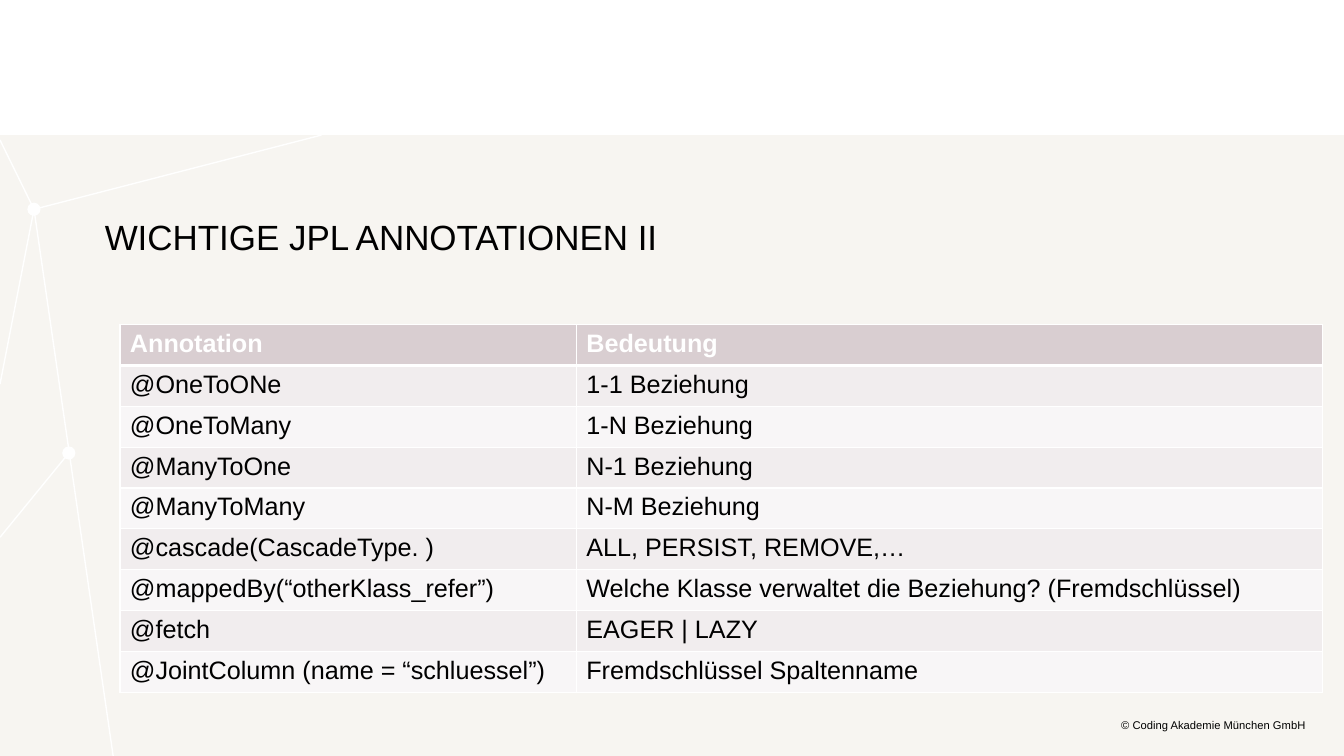
from dataclasses import dataclass

from lxml.etree import SubElement
from pptx import Presentation
from pptx.dml.color import RGBColor
from pptx.enum.shapes import MSO_CONNECTOR, MSO_SHAPE
from pptx.enum.text import MSO_ANCHOR, MSO_AUTO_SIZE, PP_ALIGN
from pptx.oxml.ns import qn
from pptx.util import Pt


@dataclass(frozen=True)
class Theme:
    font: str = "Arial"
    text: str = "000000"
    white: str = "FFFFFF"
    panel: str = "F7F5F1"
    header: str = "D9CED1"
    bands: tuple = ("F1EDEE", "F8F6F7")
    title_size: float = 25
    table_size: float = 18
    footer_size: float = 8
    line_width: float = 1
    header_rule: float = 3


THEME = Theme()
SLIDE_WIDTH, SLIDE_HEIGHT = 960.5, 540
PANEL_TOP = 96.5
NODE_SIZE = 9.4
UPPER_NODE = (24.3, 149.5)
LOWER_NODE = (49.2, 323.6)
NETWORK_LINES = [
    (UPPER_NODE, (80.9, SLIDE_HEIGHT)),
    (UPPER_NODE, (0, 100)),
    (UPPER_NODE, (229.7, PANEL_TOP)),
    (UPPER_NODE, (0, 274.4)),
    (LOWER_NODE, (0, 383.8)),
]
COLUMN_WIDTHS = (326.2, 533.5)
ROW_HEIGHT = 29.2
ANNOTATIONS = [
    ("Annotation", "Bedeutung"),
    ("@OneToONe", "1-1 Beziehung"),
    ("@OneToMany", "1-N Beziehung"),
    ("@ManyToOne", "N-1 Beziehung"),
    ("@ManyToMany", "N-M Beziehung"),
    ("@cascade(CascadeType. )", "ALL, PERSIST, REMOVE,…"),
    ("@mappedBy(“otherKlass_refer”)", "Welche Klasse verwaltet die Beziehung? (Fremdschlüssel)"),
    ("@fetch", "EAGER | LAZY"),
    ("@JointColumn (name = “schluessel”)", "Fremdschlüssel Spaltenname"),
]


def color(value):
    return RGBColor.from_string(value)


def format_runs(text_frame, size, text_color=THEME.text, bold=False):
    for paragraph in text_frame.paragraphs:
        for run in paragraph.runs:
            run.font.name = THEME.font
            run.font.size = Pt(size)
            run.font.bold = bold
            run.font.color.rgb = color(text_color)


def fill_frame(text_frame, text, size, anchor, alignment):
    """Put one line of text in a frame without insets."""
    text_frame.text = text
    text_frame.word_wrap = True
    text_frame.auto_size = MSO_AUTO_SIZE.NONE
    text_frame.vertical_anchor = anchor
    text_frame.margin_left = text_frame.margin_right = 0
    text_frame.margin_top = text_frame.margin_bottom = 0
    text_frame.paragraphs[0].alignment = alignment
    format_runs(text_frame, size)


def add_plain_shape(slide, kind, left, top, width, height, fill):
    shape = slide.shapes.add_shape(kind, Pt(left), Pt(top), Pt(width), Pt(height))
    shape.shadow.inherit = False
    shape.fill.solid()
    shape.fill.fore_color.rgb = color(fill)
    shape.line.fill.background()


def add_network_line(slide, start, end):
    line = slide.shapes.add_connector(MSO_CONNECTOR.STRAIGHT, *map(Pt, start + end))
    line.line.color.rgb = color(THEME.white)
    line.line.width = Pt(THEME.line_width)
    SubElement(line._element.spPr, qn("a:effectLst"))


def add_background(slide):
    add_plain_shape(slide, MSO_SHAPE.RECTANGLE, 0, PANEL_TOP, SLIDE_WIDTH,
                    SLIDE_HEIGHT - PANEL_TOP, THEME.panel)
    for x, y in (UPPER_NODE, LOWER_NODE):
        add_plain_shape(slide, MSO_SHAPE.OVAL, x - NODE_SIZE / 2, y - NODE_SIZE / 2,
                        NODE_SIZE, NODE_SIZE, THEME.white)
    for start, end in NETWORK_LINES:
        add_network_line(slide, start, end)


def set_title(slide, text):
    title = slide.shapes.title
    title.left, title.top, title.width, title.height = map(Pt, (74.9, 153.4, 807.8, 30.2))
    fill_frame(title.text_frame, text, THEME.title_size, MSO_ANCHOR.BOTTOM, PP_ALIGN.LEFT)


def add_footer(slide, text):
    footer = slide.shapes.add_textbox(*map(Pt, (650.2, 513.4, 283, 9.4)))
    fill_frame(footer.text_frame, text, THEME.footer_size, MSO_ANCHOR.MIDDLE, PP_ALIGN.RIGHT)
    footer.text_frame.paragraphs[0].line_spacing = 0.93


def set_borders(cell, top, bottom):
    """Draw white cell borders with the given top and bottom widths."""
    properties = cell._tc.get_or_add_tcPr()
    widths = {"L": THEME.line_width, "R": THEME.line_width, "T": top, "B": bottom}
    for side, width in widths.items():
        border = SubElement(properties, qn(f"a:ln{side}"), w=str(Pt(width)))
        SubElement(SubElement(border, qn("a:solidFill")), qn("a:srgbClr"), val=THEME.white)


def add_annotation_table(slide, rows):
    frame = slide.shapes.add_table(len(rows), len(COLUMN_WIDTHS), Pt(85.7), Pt(231.8),
                                   Pt(sum(COLUMN_WIDTHS)), Pt(ROW_HEIGHT * len(rows)))
    table = frame.table
    table.horz_banding = False
    for column, width in zip(table.columns, COLUMN_WIDTHS):
        column.width = Pt(width)
    for row_index, texts in enumerate(rows):
        table.rows[row_index].height = Pt(ROW_HEIGHT)
        is_header = row_index == 0
        fill = THEME.header if is_header else THEME.bands[(row_index - 1) % 2]
        top = THEME.header_rule if row_index == 1 else THEME.line_width
        bottom = THEME.header_rule if is_header else THEME.line_width
        for column_index, text in enumerate(texts):
            cell = table.cell(row_index, column_index)
            cell.text_frame.text = text
            format_runs(cell.text_frame, THEME.table_size,
                        THEME.white if is_header else THEME.text, is_header)
            set_borders(cell, top, bottom)
            cell.fill.solid()
            cell.fill.fore_color.rgb = color(fill)


def main():
    presentation = Presentation()
    presentation.slide_width = Pt(SLIDE_WIDTH)
    presentation.slide_height = Pt(SLIDE_HEIGHT)
    slide = presentation.slides.add_slide(presentation.slide_layouts[5])
    add_background(slide)
    set_title(slide, "WICHTIGE JPL ANNOTATIONEN II")
    # The title placeholder comes first, so it is moved in front of the panel.
    slide.shapes._spTree.append(slide.shapes.title._element)
    add_footer(slide, "© Coding Akademie München GmbH")
    add_annotation_table(slide, ANNOTATIONS)
    presentation.save("out.pptx")


if __name__ == "__main__":
    main()
